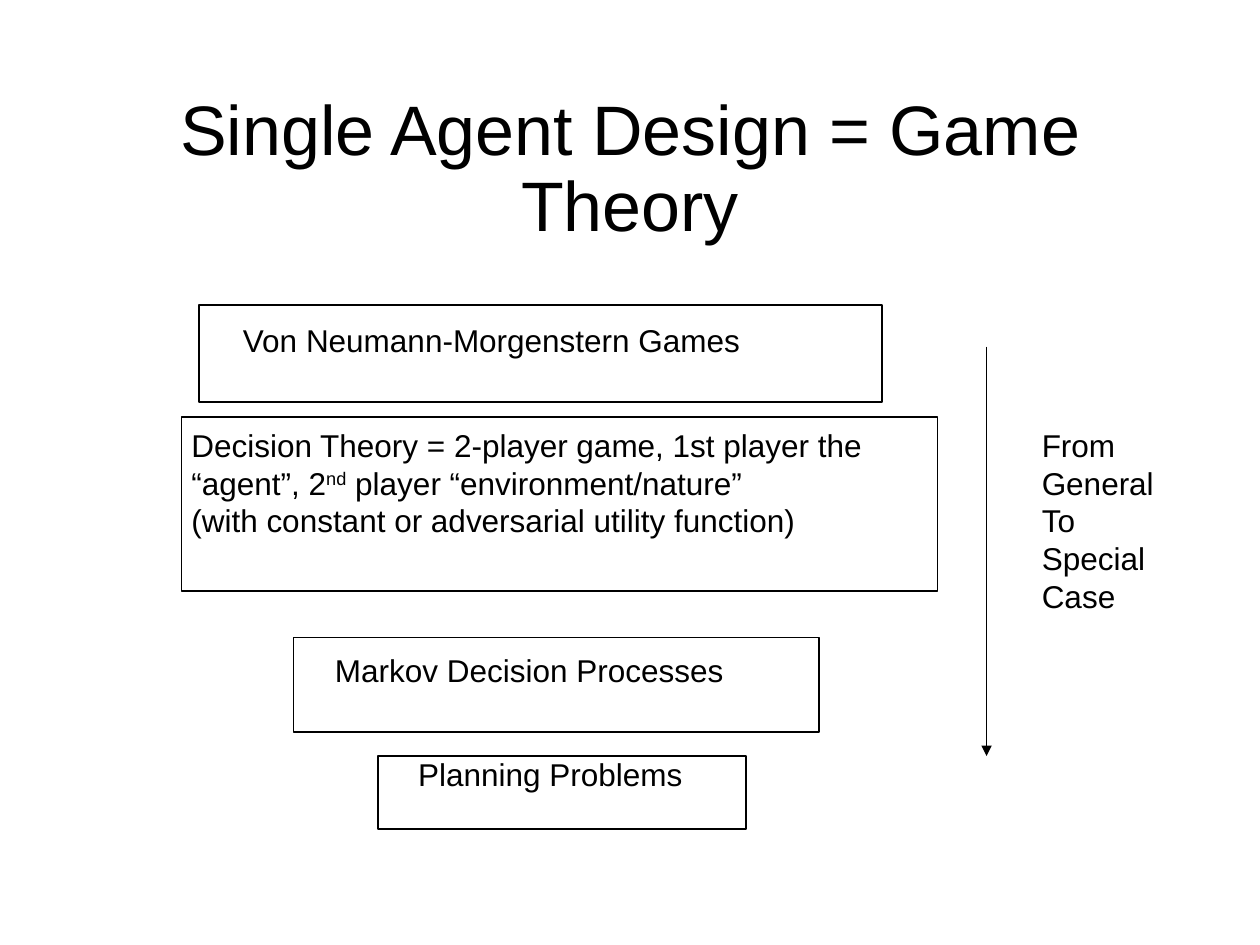
from dataclasses import dataclass

from lxml.etree import SubElement
from pptx import Presentation
from pptx.dml.color import RGBColor
from pptx.enum.shapes import MSO_CONNECTOR, MSO_SHAPE
from pptx.enum.text import MSO_ANCHOR, PP_ALIGN
from pptx.oxml.ns import qn
from pptx.util import Inches, Pt


@dataclass(frozen=True)
class Theme:
    font: str = "Arial"
    ink: RGBColor = RGBColor(0, 0, 0)
    title_size: Pt = Pt(40)
    body_size: Pt = Pt(18)
    line_width: Pt = Pt(0.75)


THEME = Theme()

# Each level: frame box, text box, paragraphs made of (text, is superscript) spans
LEVELS = [
    ((1.58, 2.42, 5.42, 0.77), (1.83, 2.5, 5.42, 0.4),
     [[("Von Neumann-Morgenstern Games", False)]]),
    ((1.44, 3.31, 6, 1.38), (1.42, 3.33, 6.25, 1.01),
     [[("Decision Theory = 2-player game, 1st player the “agent”, 2", False),
       ("nd", True),
       (" player “environment/nature”", False)],
      [("(with constant or adversarial utility function)", False)]]),
    ((2.33, 5.06, 4.17, 0.75), (2.56, 5.12, 4.08, 0.4),
     [[("Markov Decision Processes", False)]]),
    ((3, 6, 2.92, 0.58), (3.22, 5.94, 2.73, 0.4),
     [[("Planning Problems", False)]]),
]


def add_text(page, box, paragraphs, size=THEME.body_size, wrap=True):
    frame = page.shapes.add_textbox(*map(Inches, box)).text_frame
    frame.word_wrap = wrap
    for index, spans in enumerate(paragraphs):
        para = frame.add_paragraph() if index else frame.paragraphs[0]
        for text, superscript in spans:
            span = para.add_run()
            span.text = text
            span.font.name = THEME.font
            span.font.size = size
            span.font.color.rgb = THEME.ink
            if superscript:
                span.font._element.set("baseline", "30000")
    return frame


def add_title(page, box, text):
    frame = add_text(page, box, [[(text, False)]], THEME.title_size)
    frame.vertical_anchor = MSO_ANCHOR.MIDDLE
    frame.margin_left = frame.margin_right = 0
    frame.margin_top = frame.margin_bottom = 0
    frame.paragraphs[0].alignment = PP_ALIGN.CENTER
    frame.paragraphs[0].line_spacing = 0.9


def add_frame(page, box):
    frame = page.shapes.add_shape(MSO_SHAPE.RECTANGLE, *map(Inches, box))
    frame.shadow.inherit = False
    frame.fill.background()
    frame.line.color.rgb = THEME.ink
    frame.line.width = THEME.line_width


def add_down_arrow(page, x, top, bottom):
    arrow = page.shapes.add_connector(
        MSO_CONNECTOR.STRAIGHT, *map(Inches, (x, top, x, bottom)))
    arrow.line.color.rgb = THEME.ink
    arrow.line.width = THEME.line_width
    SubElement(arrow.line._get_or_add_ln(), qn("a:tailEnd"), type="triangle")
    SubElement(arrow._element.spPr, qn("a:effectLst"))


def add_levels(page, levels):
    for frame_box, text_box, paragraphs in levels:
        add_text(page, text_box, paragraphs)
        add_frame(page, frame_box)


def add_direction(page, box):
    """Arrow with its caption, from the general case down to the special one."""
    left, top, width, height = box
    add_down_arrow(page, left, top, top + height)
    words = ["From", "General", "To", "Special", "Case"]
    add_text(page, (left + 0.34, top + 0.58, width - 0.34, 1.62),
             [[(word, False)] for word in words], wrap=False)


def main():
    deck = Presentation()
    deck.slide_width, deck.slide_height = Inches(10), Inches(7.5)
    page = deck.slides.add_slide(deck.slide_layouts[6])
    add_title(page, (0.5, 0.73, 9, 1.25), "Single Agent Design = Game Theory")
    add_levels(page, LEVELS)
    add_direction(page, (7.83, 2.75, 1.44, 3.25))
    deck.save("out.pptx")


if __name__ == "__main__":
    main()
